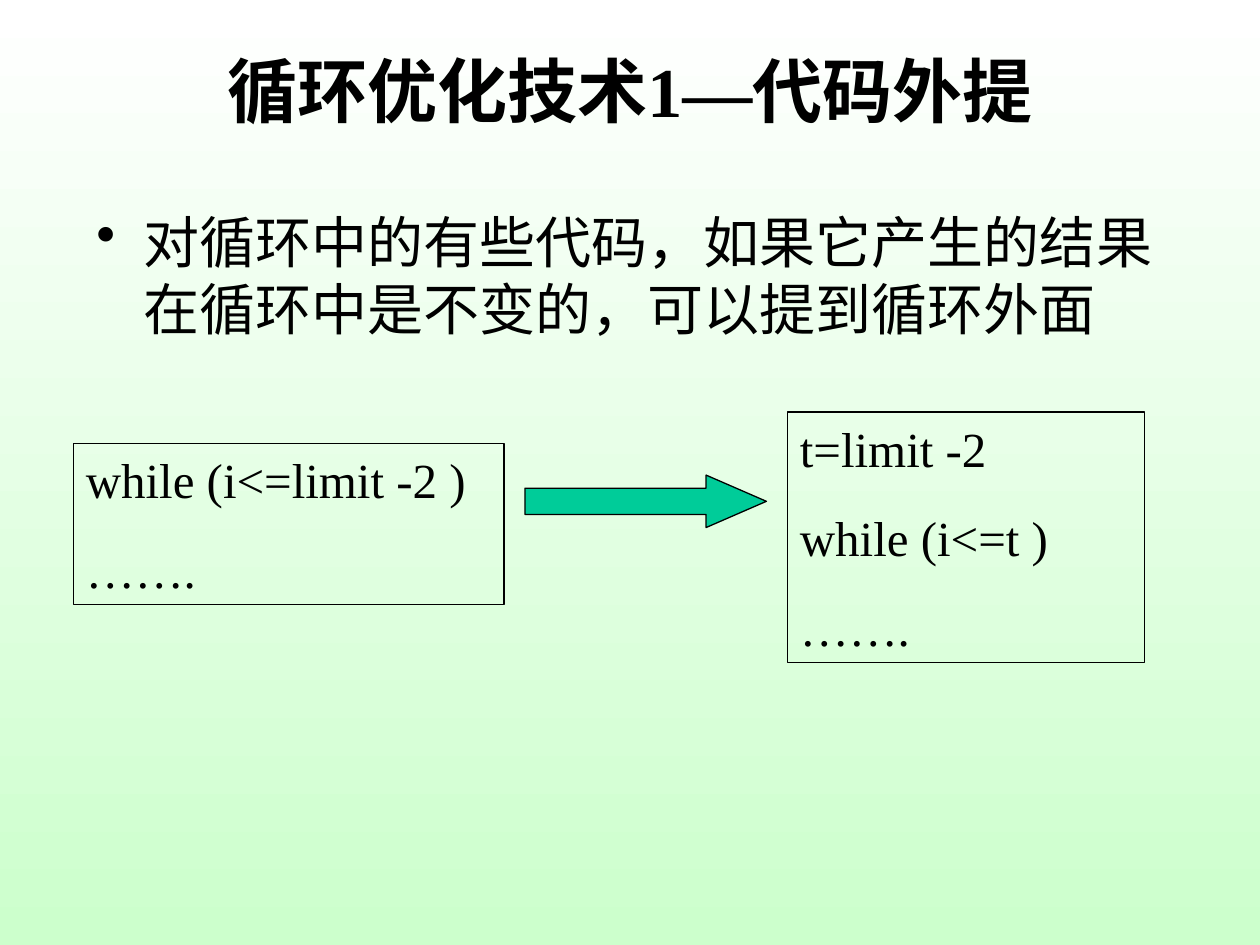
from lxml import etree
from pptx import Presentation
from pptx.dml.color import RGBColor
from pptx.enum.shapes import MSO_SHAPE
from pptx.enum.text import MSO_ANCHOR, MSO_AUTO_SIZE, PP_ALIGN
from pptx.oxml.ns import qn
from pptx.util import Pt

RECT = MSO_SHAPE.RECTANGLE
ARROW = MSO_SHAPE.RIGHT_ARROW
TOP, MIDDLE = MSO_ANCHOR.TOP, MSO_ANCHOR.MIDDLE
LEFT, CENTER = PP_ALIGN.LEFT, PP_ALIGN.CENTER
FIXED = MSO_AUTO_SIZE.NONE

BLACK = RGBColor(0x00, 0x00, 0x00)
WHITE = RGBColor(0xFF, 0xFF, 0xFF)
MINT = RGBColor(0xCC, 0xFF, 0xCC)
TEAL = RGBColor(0x00, 0xCC, 0x99)


class Deck:
    font = "Times New Roman"
    edge = 0.75
    gap = 17.5
    hang = 27

    def __init__(self, wide, high):
        self.show = Presentation()
        self.show.slide_width = Pt(wide)
        self.show.slide_height = Pt(high)
        self.slide = self.show.slides.add_slide(self.show.slide_layouts[5])

    def back(self, first, last):
        fill = self.slide.background.fill
        fill.gradient()
        fill.gradient_angle = 270
        for stop, color, place in zip(fill.gradient_stops, (first, last), (0, 1)):
            stop.color.rgb = color
            stop.position = place

    def place(self, shape, box):
        for name, value in zip(("left", "top", "width", "height"), box):
            setattr(shape, name, Pt(value))

    def label(self, shape, lines, size, bold=False, align=LEFT, anchor=TOP, bullet=None):
        frame = shape.text_frame
        form = {"word_wrap": True, "auto_size": FIXED, "vertical_anchor": anchor}
        for name, value in form.items():
            setattr(frame, name, value)
        frame.text = "\n".join(lines)
        look = {"name": self.font, "size": Pt(size), "bold": bold}
        for i, para in enumerate(frame.paragraphs):
            para.alignment = align
            para.space_before = Pt(self.gap if i else 0)
            if bullet:
                self.mark(para, bullet)
            font = para.runs[0].font
            for name, value in look.items():
                setattr(font, name, value)
            font.color.rgb = BLACK

    def mark(self, para, sign):
        props = para._p.get_or_add_pPr()
        props.set("marL", str(Pt(self.hang)))
        props.set("indent", str(-Pt(self.hang)))
        etree.SubElement(props, qn("a:buChar")).set("char", sign)

    def title(self, text, box):
        shape = self.slide.shapes.title
        self.place(shape, box)
        self.label(shape, [text], 40, bold=True, align=CENTER, anchor=MIDDLE)

    def point(self, text, box):
        shape = self.slide.shapes.add_textbox(*map(Pt, box))
        self.label(shape, [text], 32, bullet="•")

    def shape(self, kind, box, fill=None):
        shape = self.slide.shapes.add_shape(kind, *map(Pt, box))
        shape.shadow.inherit = False
        shape.line.color.rgb = BLACK
        shape.line.width = Pt(self.edge)
        if fill is None:
            shape.fill.background()
        else:
            shape.fill.solid()
            shape.fill.fore_color.rgb = fill
        return shape

    def code(self, lines, box):
        self.label(self.shape(RECT, box), lines, 28)

    def arrow(self, box, head):
        shape = self.shape(ARROW, box, TEAL)
        shape.adjustments[0] = 0.5
        shape.adjustments[1] = head


def main():
    deck = Deck(720, 540)
    deck.back(WHITE, MINT)
    deck.title("循环优化技术1—代码外提", (54, 24, 612, 54))
    deck.point("对循环中的有些代码，如果它产生的结果在循环中是不变的，可以提到循环外面",
               (48, 115, 630, 126))
    deck.code(["while (i<=limit -2 )", "……."], (42, 253.5, 246, 92))
    deck.code(["t=limit -2", "while (i<=t )", "……."], (450, 235.5, 204, 143))
    deck.arrow((300, 271.5, 138, 30), 1.15)
    deck.show.save("out.pptx")


if __name__ == "__main__":
    main()
